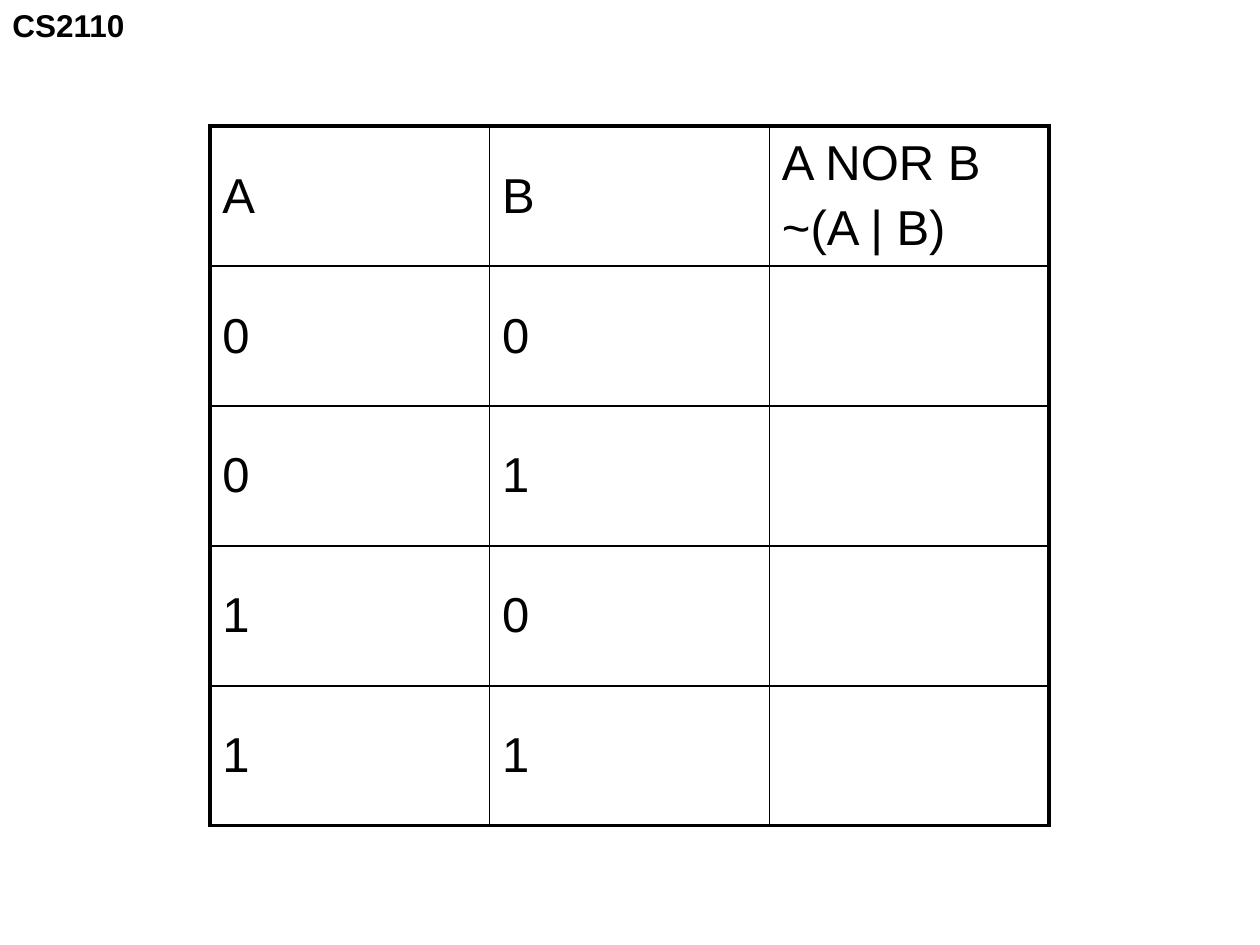
from dataclasses import dataclass

from lxml import etree
from pptx import Presentation
from pptx.dml.color import RGBColor
from pptx.enum.text import MSO_ANCHOR, MSO_AUTO_SIZE
from pptx.oxml.ns import qn
from pptx.util import Cm, Pt

MIDDLE = MSO_ANCHOR.MIDDLE
FIT_SHAPE = MSO_AUTO_SIZE.SHAPE_TO_FIT_TEXT
BLACK = RGBColor(0x00, 0x00, 0x00)
WHITE = RGBColor(0xFF, 0xFF, 0xFF)
FONT_NAME = "Arial"
BLANK_LAYOUT = 6
OUTER_LINE, INNER_LINE = Pt(2.25), Pt(1)
COLUMN_WIDTH, ROW_HEIGHT = Cm(5.64), Cm(2.82)


@dataclass
class TruthRow:
    a: tuple[str, ...]
    b: tuple[str, ...]
    result: tuple[str, ...] = ()

    def cells(self) -> tuple[tuple[str, ...], ...]:
        return self.a, self.b, self.result


TRUTH_ROWS = [TruthRow(("A",), ("B",), ("A NOR B", "~(A | B)"))] + [
    TruthRow((a,), (b,)) for a in "01" for b in "01"
]


def add_run(paragraph, text: str, size: float, bold: bool = False) -> None:
    run = paragraph.add_run()
    run.text = text
    run.font.name = FONT_NAME
    run.font.size = Pt(size)
    run.font.bold = bold
    run.font.color.rgb = BLACK


def set_space_before(paragraph, percent: int) -> None:
    """Set paragraph spacing relative to the text size."""
    properties = paragraph._p.get_or_add_pPr()
    spacing = etree.SubElement(properties, qn("a:spcBef"))
    etree.SubElement(spacing, qn("a:spcPct"), val=str(percent * 1000))


def set_border(cell, side: str, width: int) -> None:
    properties = cell._tc.get_or_add_tcPr()
    line = etree.SubElement(properties, qn(f"a:ln{side}"), w=str(width))
    fill = etree.SubElement(line, qn("a:solidFill"))
    etree.SubElement(fill, qn("a:srgbClr"), val=str(BLACK))


def fill_cell(cell, lines: tuple[str, ...]) -> None:
    cell.vertical_anchor = MIDDLE
    cell.fill.solid()
    cell.fill.fore_color.rgb = WHITE
    text_frame = cell.text_frame
    for index, line in enumerate(lines):
        paragraph = text_frame.add_paragraph() if index else text_frame.paragraphs[0]
        set_space_before(paragraph, 20)
        add_run(paragraph, line, 28)


def add_truth_table(slide, rows: list[TruthRow]) -> None:
    row_count, column_count = len(rows), len(rows[0].cells())
    table = slide.shapes.add_table(
        row_count, column_count, Cm(4.23), Cm(2.54),
        COLUMN_WIDTH * column_count, ROW_HEIGHT * row_count,
    ).table
    table.first_row = table.horz_banding = False
    for column in table.columns:
        column.width = COLUMN_WIDTH
    for row_index, row in enumerate(rows):
        table.rows[row_index].height = ROW_HEIGHT
        for column_index, lines in enumerate(row.cells()):
            cell = table.cell(row_index, column_index)
            # Thick lines run only along the outside of the table
            outer_sides = {
                "L": column_index == 0,
                "R": column_index == column_count - 1,
                "T": row_index == 0,
                "B": row_index == row_count - 1,
            }
            for side, is_outer in outer_sides.items():
                set_border(cell, side, OUTER_LINE if is_outer else INNER_LINE)
            fill_cell(cell, lines)


def add_course_label(slide, text: str) -> None:
    label = slide.shapes.add_textbox(0, 0, Cm(2.8), Cm(1.02))
    label.text_frame.word_wrap = False
    label.text_frame.auto_size = FIT_SHAPE
    add_run(label.text_frame.paragraphs[0], text, 18, bold=True)


def main() -> None:
    presentation = Presentation()
    presentation.slide_width, presentation.slide_height = Cm(25.4), Cm(19.05)
    slide = presentation.slides.add_slide(presentation.slide_layouts[BLANK_LAYOUT])
    add_course_label(slide, "CS2110")
    add_truth_table(slide, TRUTH_ROWS)
    presentation.save("out.pptx")


if __name__ == "__main__":
    main()
